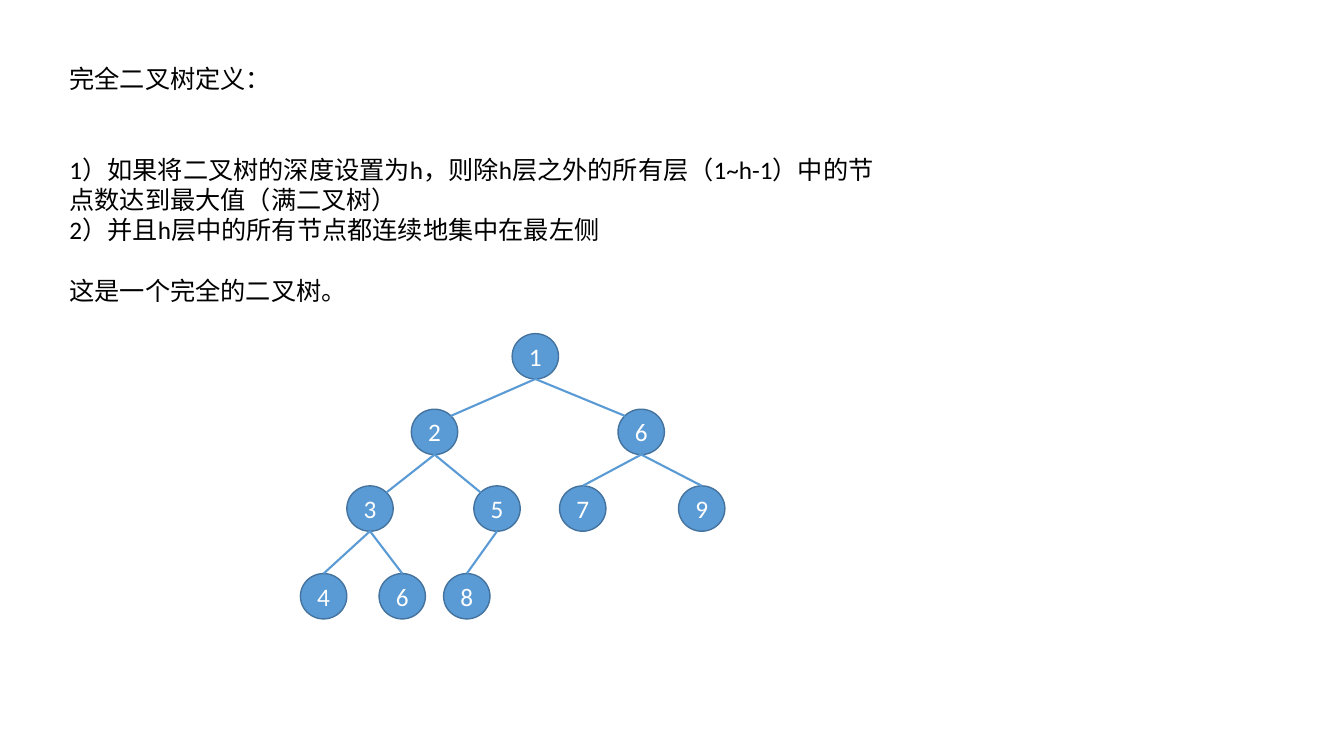
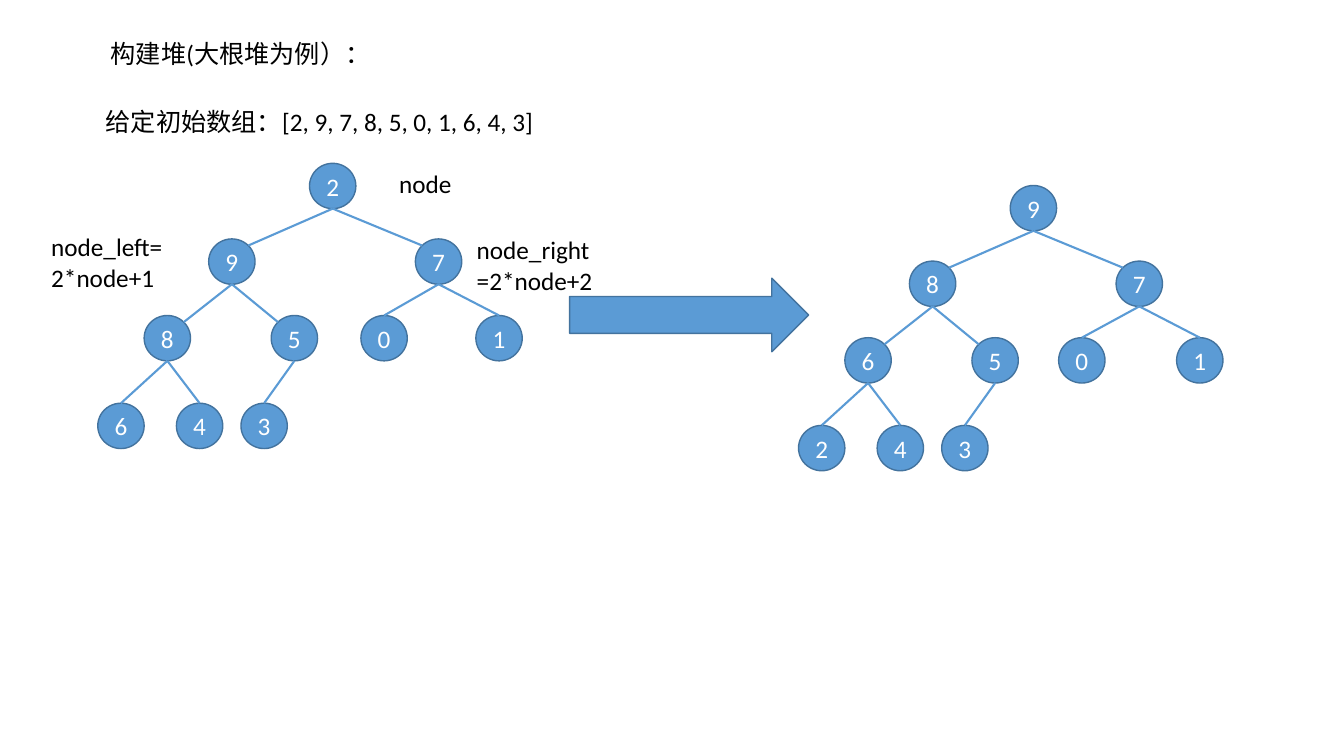
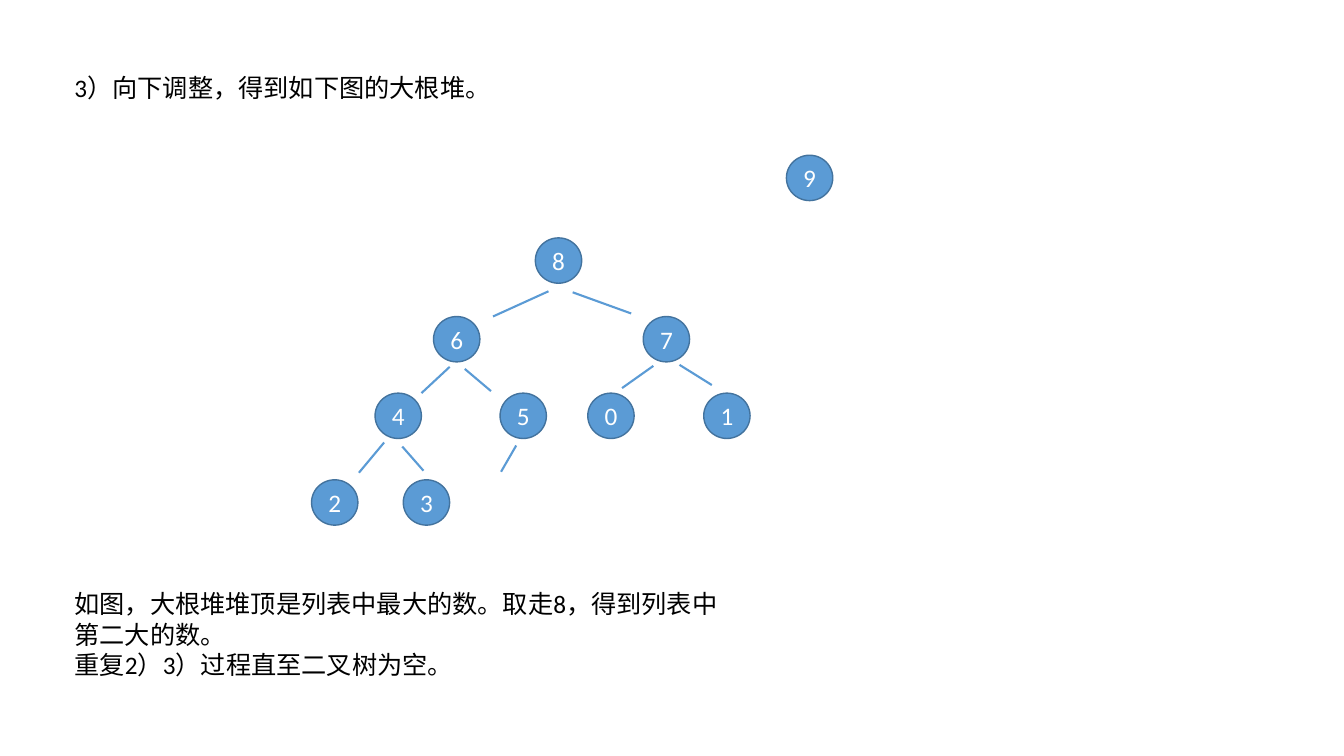
from dataclasses import dataclass
from math import sqrt

from lxml.etree import SubElement
from pptx import Presentation
from pptx.dml.color import RGBColor
from pptx.enum.shapes import MSO_CONNECTOR, MSO_SHAPE
from pptx.enum.text import MSO_ANCHOR, MSO_AUTO_SIZE, PP_ALIGN
from pptx.oxml.ns import qn
from pptx.shapes.autoshape import Shape
from pptx.shapes.connector import Connector
from pptx.slide import Slide
from pptx.util import Inches, Pt

# Shared style
BLUE = RGBColor(0x5B, 0x9B, 0xD5)
DARK_BLUE = RGBColor(0x43, 0x73, 0x9E)
WHITE = RGBColor(0xFF, 0xFF, 0xFF)
BLACK = RGBColor(0x00, 0x00, 0x00)
FONT = "Calibri"
TEXT_SIZE = Pt(18)
LINE_GAP = 21.6  # points, height of one text line

# Tree grid: inches from the root node, columns per slot and rows per level
NODE_WIDTH, NODE_HEIGHT = 0.46, 0.45
LEVEL_ROWS = (0, 0.75, 1.51, 2.38)
WIDE_ROWS = (0, 0.78, 1.54, 2.4)
WIDE_COLUMNS = (0, -1.01, 1.07, -1.59, -0.35, 0.52, 1.67, -2.22, -1.31)


def slot_columns(inner_leaf: float) -> tuple[float, ...]:
    """Columns of the ten slots; inner_leaf is the sixth one."""
    return (0, -1, 1.05, -1.64, -0.38, inner_leaf, 1.65, -2.1, -1.32, -0.68)


@dataclass(frozen=True)
class Tree:
    left: float
    top: float
    values: str
    columns: tuple[float, ...]
    rows: tuple[float, ...] = LEVEL_ROWS
    joined: bool = True


@dataclass(frozen=True)
class Paragraph:
    text: str
    lines_before: int = 0


@dataclass(frozen=True)
class TextBox:
    left: float
    top: float
    width: float
    height: float
    paragraphs: tuple[Paragraph, ...]


@dataclass(frozen=True)
class Segment:
    start_x: float
    start_y: float
    end_x: float
    end_y: float


def add_text(page: Slide, item: TextBox) -> None:
    box = page.shapes.add_textbox(
        Inches(item.left), Inches(item.top), Inches(item.width), Inches(item.height))
    frame = box.text_frame
    frame.word_wrap = True
    frame.auto_size = MSO_AUTO_SIZE.SHAPE_TO_FIT_TEXT
    for index, entry in enumerate(item.paragraphs):
        para = frame.add_paragraph() if index else frame.paragraphs[0]
        para.text = entry.text
        para.space_before = Pt(entry.lines_before * LINE_GAP)
        para.font.name, para.font.size = FONT, TEXT_SIZE
        para.font.color.rgb = BLACK


def add_blue_shape(page: Slide, kind: MSO_SHAPE, left: float, top: float,
                   width: float, height: float) -> Shape:
    shape = page.shapes.add_shape(
        kind, Inches(left), Inches(top), Inches(width), Inches(height))
    shape.shadow.inherit = False
    shape.fill.solid()
    shape.fill.fore_color.rgb = BLUE
    shape.line.color.rgb = DARK_BLUE
    shape.line.width = Pt(1)
    return shape


def add_node(page: Slide, left: float, top: float, value: str) -> Shape:
    node = add_blue_shape(page, MSO_SHAPE.OVAL, left, top, NODE_WIDTH, NODE_HEIGHT)
    frame = node.text_frame
    frame.vertical_anchor = MSO_ANCHOR.MIDDLE
    para = frame.paragraphs[0]
    para.text = value
    para.alignment = PP_ALIGN.CENTER
    para.font.name, para.font.size = FONT, TEXT_SIZE
    para.font.color.rgb = WHITE
    return node


def add_segment(page: Slide, segment: Segment) -> Connector:
    line = page.shapes.add_connector(
        MSO_CONNECTOR.STRAIGHT, Inches(segment.start_x), Inches(segment.start_y),
        Inches(segment.end_x), Inches(segment.end_y))
    line.line.color.rgb = BLUE
    line.line.width = Pt(1.5)
    SubElement(line._element.spPr, qn("a:effectLst"))
    return line


def add_tree(page: Slide, tree: Tree) -> None:
    """Draw the nodes in heap order and join each one to its parent."""
    places: list[tuple[float, float]] = []
    for slot, (value, column) in enumerate(zip(tree.values, tree.columns)):
        level = (slot + 1).bit_length() - 1
        left, top = tree.left + column, tree.top + tree.rows[level]
        places.append((left, top))
        node = add_node(page, left, top, value)
        if not tree.joined or slot == 0:
            continue
        parent_left, parent_top = places[(slot - 1) // 2]
        end_x, end_y = left + NODE_WIDTH / 2, top
        is_inner = slot < 5
        if is_inner:  # the line meets the upper corner that faces the parent
            side = 1 if slot % 2 else -1
            end_x += side * NODE_WIDTH / 2 / sqrt(2)
            end_y += NODE_HEIGHT / 2 * (1 - 1 / sqrt(2))
        line = add_segment(page, Segment(
            parent_left + NODE_WIDTH / 2, parent_top + NODE_HEIGHT, end_x, end_y))
        if not is_inner:
            line.end_connect(node, 0)


# Slide content
DEFINITION = TextBox(0.59, 0.58, 8.41, 2.52, (
    Paragraph("完全二叉树定义："),
    Paragraph("1）如果将二叉树的深度设置为h，则除h层之外的所有层（1~h-1）中的"
              "节点数达到最大值（满二叉树）", 2),
    Paragraph("2）并且h层中的所有节点都连续地集中在最左侧"),
    Paragraph("这是一个完全的二叉树。", 1),
))
HEAP_TEXTS = (
    TextBox(1, 0.33, 3.29, 0.53, (Paragraph("构建堆(大根堆为例）："),)),
    TextBox(0.95, 1.01, 5.02, 0.4,
            (Paragraph("给定初始数组：[2, 9, 7, 8, 5, 0, 1, 6, 4, 3]"),)),
    TextBox(3.86, 1.62, 1.34, 0.4, (Paragraph("node"),)),
    TextBox(0.41, 2.25, 1.34, 0.71, (Paragraph("node_left=2*node+1"),)),
    TextBox(4.63, 2.28, 1.42, 0.71, (Paragraph("node_right=2*node+2"),)),
)
ADJUST_TEXTS = (
    TextBox(0.64, 0.67, 5, 0.4, (Paragraph("3）向下调整，得到如下图的大根堆。"),)),
    TextBox(0.64, 5.79, 6.67, 1.01, (
        Paragraph("如图，大根堆堆顶是列表中最大的数。取走8，得到列表中第二大的数。"),
        Paragraph("重复2）3）过程直至二叉树为空。"),
    )),
)
LOOSE_BRANCHES = (
    Segment(5.44, 2.89, 4.89, 3.14),
    Segment(5.68, 2.9, 6.26, 3.11),
    Segment(4.46, 3.64, 4.18, 3.9),
    Segment(4.87, 3.88, 4.61, 3.66),
    Segment(6.48, 3.63, 6.17, 3.85),
    Segment(6.74, 3.62, 7.06, 3.82),
    Segment(3.81, 4.39, 3.56, 4.69),
    Segment(4.2, 4.67, 3.99, 4.43),
    Segment(5.12, 4.42, 4.97, 4.68),
)


def build_definition(page: Slide) -> None:
    add_tree(page, Tree(5.08, 3.31, "1263579468", slot_columns(0.47)))
    add_text(page, DEFINITION)


def build_heap(page: Slide) -> None:
    add_tree(page, Tree(3.07, 1.62, "2978501643", slot_columns(0.51)))
    add_tree(page, Tree(10.02, 1.84, "9876501243", slot_columns(0.48)))
    add_blue_shape(page, MSO_SHAPE.RIGHT_ARROW, 5.65, 2.76, 2.37, 0.73)
    for item in HEAP_TEXTS:
        add_text(page, item)


def build_adjustment(page: Slide) -> None:
    add_tree(page, Tree(5.31, 2.36, "867450123", WIDE_COLUMNS, WIDE_ROWS, joined=False))
    add_node(page, 7.8, 1.54, "9")
    for segment in LOOSE_BRANCHES:
        add_segment(page, segment)
    for item in ADJUST_TEXTS:
        add_text(page, item)


def main() -> None:
    deck = Presentation()
    deck.slide_width, deck.slide_height = Inches(13.33), Inches(7.5)
    blank = deck.slide_layouts[6]
    for build in (build_definition, build_heap, build_adjustment):
        build(deck.slides.add_slide(blank))
    deck.save("out.pptx")


if __name__ == "__main__":
    main()
